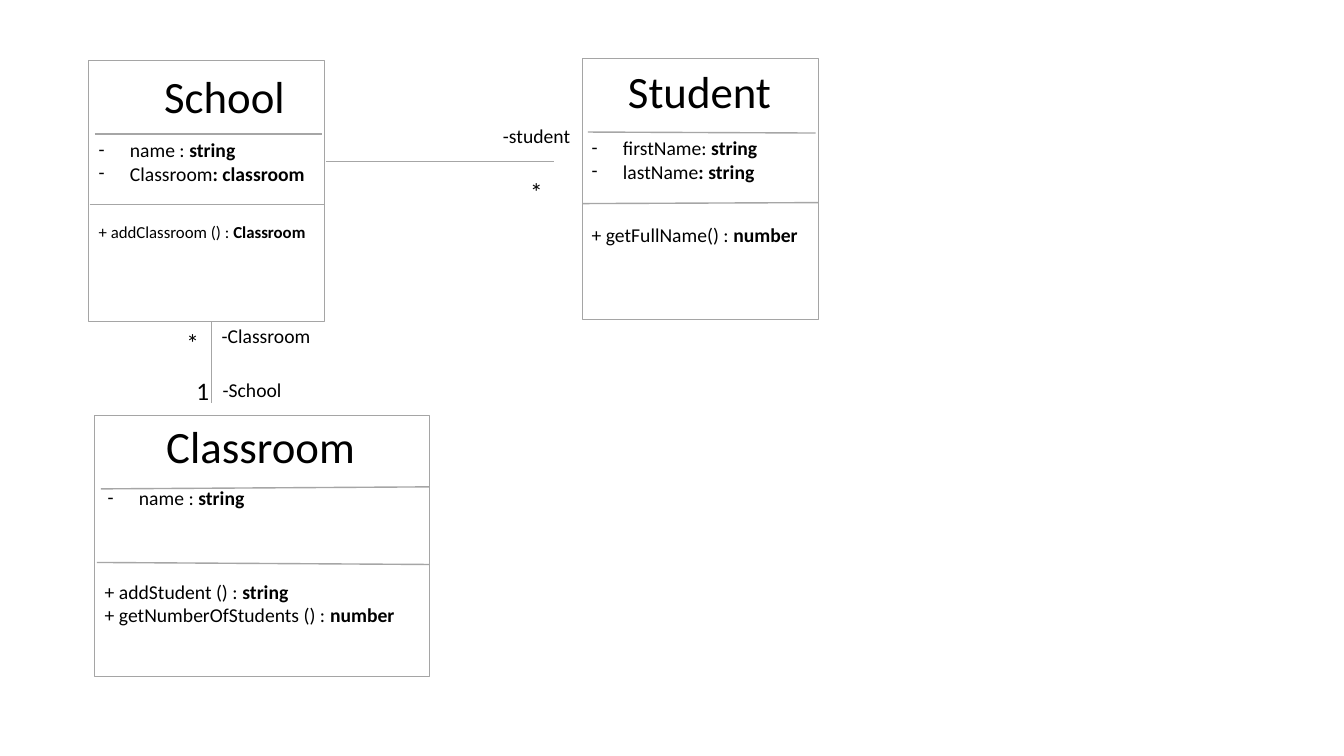
from lxml import etree
from pptx import Presentation
from pptx.dml.color import RGBColor
from pptx.enum.shapes import MSO_CONNECTOR, MSO_SHAPE
from pptx.enum.text import MSO_AUTO_SIZE, PP_ALIGN
from pptx.oxml.ns import qn
from pptx.util import Inches, Pt

RECTANGLE = MSO_SHAPE.RECTANGLE
STRAIGHT = MSO_CONNECTOR.STRAIGHT
FIT_SHAPE = MSO_AUTO_SIZE.SHAPE_TO_FIT_TEXT
LEFT = PP_ALIGN.LEFT

CELL = Inches(0.1)
FONT = "Calibri"
BLACK, WHITE = "000000", "FFFFFF"
BORDER, RULE = "A5A5A5", "A6A6A6"
BOX_ROWS = 25.9
TITLE_SIZE, BODY_SIZE, COMPACT_SIZE, MULTIPLICITY_SIZE = 32, 14, 12, 18
HANGING = Inches(0.31)

CLASSES = [
    {
        "box": (8.8, 6, 23.4),
        "title": ("School", (15.3, 6.3, 14.1, 6.4)),
        "attributes": ([("name : ", "string"), ("Classroom", ": classroom")],
                       (8.8, 13.2, 22.8, 5.7)),
        "methods": ([("+ addClassroom () : ", "Classroom")],
                    (8.8, 21.5, 22.8, 3), COMPACT_SIZE),
        "dividers": [(9.4, 13.3, 31.9, 13.3), (8.9, 20.3, 32.2, 20.3)],
    },
    {
        "box": (57.8, 5.8, 23.4),
        "title": ("Student", (61.3, 5.8, 16.4, 6.4)),
        "attributes": ([("firstName: ", "string"), ("lastName", ": string")],
                       (57.7, 13, 18.6, 5.7)),
        "methods": ([("+ getFullName() : ", "number")], (57.7, 21.6, 22.6, 3.4)),
        "dividers": [(58.3, 13.1, 80.9, 13.2), (57.8, 20.2, 81.2, 20.1)],
    },
    {
        "box": (9.4, 41.2, 33.2),
        "title": ("Classroom", (15.5, 41, 20.9, 6.4)),
        "attributes": ([("name : ", "string")], (9.7, 47.7, 15.7, 3.4)),
        "methods": ([("+ addStudent () : ", "string"),
                     ("+ getNumberOfStudents () : ", "number")], (9.4, 57, 33.2, 8.1)),
        "dividers": [(10, 48.5, 42.6, 48.3), (9.6, 55.8, 42.6, 56)],
    },
]

ASSOCIATIONS = [(32.3, 16, 54.9, 16), (21, 31.9, 21, 40)]

ROLES = [
    ("-student", (48.9, 11.8, 8.8, 3.4)),
    ("-School", (21.1, 37, 7.9, 3.4)),
    ("-Classroom", (21, 31.6, 10.9, 3.4)),
]

MULTIPLICITIES = [
    ("*", (51.6, 17, 3.3, 4)),
    ("1", (18.5, 36.7, 3.3, 4)),
    ("*", (17.5, 32, 3.3, 4)),
]


def color(value):
    return RGBColor.from_string(value)


def cells(*lengths):
    return [round(length * CELL) for length in lengths]


def add_dash(paragraph):
    properties = paragraph._p.get_or_add_pPr()
    properties.set("marL", str(HANGING))
    properties.set("indent", str(-HANGING))
    etree.SubElement(properties, qn("a:buFont")).set("typeface", FONT)
    etree.SubElement(properties, qn("a:buChar")).set("char", "-")


def add_text(slide, lines, area, size=BODY_SIZE, dashed=False, wrap=False):
    frame = slide.shapes.add_textbox(*cells(*area)).text_frame
    frame.word_wrap = wrap
    frame.auto_size = FIT_SHAPE
    for index, line in enumerate(lines):
        paragraph = frame.paragraphs[0] if index == 0 else frame.add_paragraph()
        paragraph.alignment = LEFT
        if dashed:
            add_dash(paragraph)
        for position, words in enumerate(line):
            run = paragraph.add_run()
            run.text = words
            run.font.name = FONT
            run.font.size = Pt(size)
            run.font.bold = position == 1
            run.font.color.rgb = color(BLACK)


def add_line(slide, ends):
    connector = slide.shapes.add_connector(STRAIGHT, *cells(*ends))
    connector.line.color.rgb = color(RULE)
    connector.line.width = Pt(1)
    etree.SubElement(connector._element.spPr, qn("a:effectLst"))


def add_box(slide, left, top, width):
    shape = slide.shapes.add_shape(RECTANGLE, *cells(left, top, width, BOX_ROWS))
    shape.shadow.inherit = False
    shape.fill.solid()
    shape.fill.fore_color.rgb = color(WHITE)
    shape.line.color.rgb = color(BORDER)
    shape.line.width = Pt(1)


def add_class(slide, box, title, attributes, methods, dividers):
    add_box(slide, *box)
    name, title_area = title
    add_text(slide, [(name,)], title_area, size=TITLE_SIZE)
    for ends in dividers:
        add_line(slide, ends)
    add_text(slide, *attributes, dashed=True)
    add_text(slide, *methods, wrap=len(methods[0]) > 1)


def main():
    presentation = Presentation()
    presentation.slide_width = Inches(13.33)
    presentation.slide_height = Inches(7.5)
    slide = presentation.slides.add_slide(presentation.slide_layouts[6])
    for diagram_class in CLASSES:
        add_class(slide, **diagram_class)
    for ends in ASSOCIATIONS:
        add_line(slide, ends)
    for role, area in ROLES:
        add_text(slide, [(role,)], area)
    for multiplicity, area in MULTIPLICITIES:
        add_text(slide, [(multiplicity,)], area, size=MULTIPLICITY_SIZE)
    presentation.save("out.pptx")


if __name__ == "__main__":
    main()
